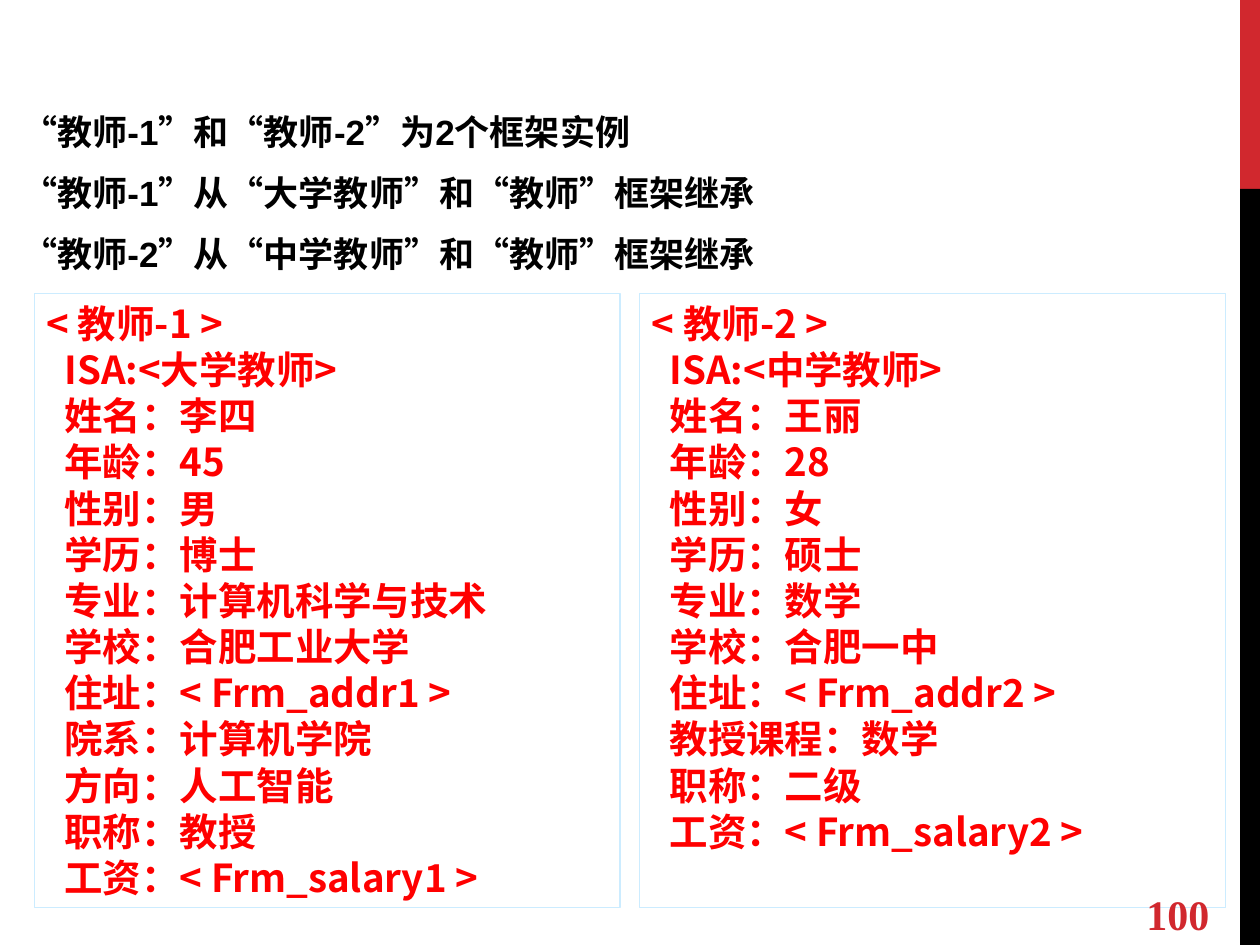
import itertools

import pptx
import pptx.dml.color
import pptx.enum.shapes
import pptx.enum.text
import pptx.oxml.ns
import pptx.util
from lxml import etree
from pptx.util import Cm, Pt

RED = pptx.dml.color.RGBColor(0xD1, 0x28, 0x2E)
BLACK = pptx.dml.color.RGBColor(0, 0, 0)
FRAME_TEXT = pptx.dml.color.RGBColor(0xFF, 0, 0)
FRAME_LINE = pptx.dml.color.RGBColor(0xCC, 0xEC, 0xFF)
CJK, LATIN, SERIF = "Noto Sans CJK SC", "Arial", "Times New Roman"
QUOTES = "“”"

INTRO = [
    "“教师-1”和“教师-2”为2个框架实例",
    "“教师-1”从“大学教师”和“教师”框架继承",
    "“教师-2”从“中学教师”和“教师”框架继承",
]
TEACHER_1 = [
    "ISA:<大学教师>", "姓名：李四", "年龄：45", "性别：男", "学历：博士",
    "专业：计算机科学与技术", "学校：合肥工业大学", "住址：< Frm_addr1 >",
    "院系：计算机学院", "方向：人工智能", "职称：教授", "工资：< Frm_salary1 >",
]
TEACHER_2 = [
    "ISA:<中学教师>", "姓名：王丽", "年龄：28", "性别：女", "学历：硕士",
    "专业：数学", "学校：合肥一中", "住址：< Frm_addr2 >",
    "教授课程：数学", "职称：二级", "工资：< Frm_salary2 >",
]


def write_line(frame, text, *, size, color, font, quote_font=None,
               line_height=None, before=0, after=0, indent=0):
    """Add a bold paragraph, with curly quotes in quote_font if given."""
    is_first = not frame.paragraphs[0].runs
    paragraph = frame.paragraphs[0] if is_first else frame.add_paragraph()
    paragraph.alignment = pptx.enum.text.PP_ALIGN.LEFT
    paragraph.space_before = Pt(0 if is_first else before)
    paragraph.space_after = Pt(after)
    if line_height:
        paragraph.line_spacing = Pt(line_height)
    if indent:
        properties = paragraph._p.get_or_add_pPr()
        properties.set("marL", str(Cm(indent)))
        properties.set("indent", "0")
    for quoted, chars in itertools.groupby(text, lambda char: char in QUOTES):
        run = paragraph.add_run()
        run.text = "".join(chars)
        run.font.size = Pt(size)
        run.font.bold = True
        run.font.color.rgb = color
        run.font.name = quote_font if quoted and quote_font else font
        east_asian = etree.SubElement(run.font._element, pptx.oxml.ns.qn("a:ea"))
        east_asian.set("typeface", CJK)


def add_box(slide, left, top, width, height, fill=None, line=None):
    box = slide.shapes.add_shape(pptx.enum.shapes.MSO_SHAPE.RECTANGLE,
                                 Cm(left), Cm(top), Cm(width), Cm(height))
    box.shadow.inherit = False
    if fill is None:
        box.fill.background()
    else:
        box.fill.solid()
        box.fill.fore_color.rgb = fill
    if line is None:
        box.line.fill.background()
    else:
        box.line.color.rgb = line
        box.line.width = Pt(0.75)
    return box


def add_side_bar(slide, left, top, width, height):
    red_height = height / 5
    add_box(slide, left, top, width, red_height, fill=RED)
    add_box(slide, left, top + red_height, width, height - red_height, fill=BLACK)


def add_text_area(slide, left, top, width, height):
    area = slide.shapes.add_textbox(Cm(left), Cm(top), Cm(width), Cm(height))
    area.text_frame.word_wrap = True
    return area.text_frame


def add_intro(slide, left, top, width, height):
    frame = add_text_area(slide, left, top, width, height)
    for sentence in INTRO:
        write_line(frame, sentence, size=20, color=BLACK, font=LATIN,
                   quote_font=SERIF, line_height=24, before=5, after=6)


def add_frame_panel(slide, left, top, width, height, name, slots):
    """Draw one frame instance: its name, then its indented slots."""
    frame = add_box(slide, left, top, width, height, line=FRAME_LINE).text_frame
    frame.word_wrap = True
    frame.vertical_anchor = pptx.enum.text.MSO_ANCHOR.TOP
    style = dict(size=22, color=FRAME_TEXT, font=CJK, line_height=26.4)
    write_line(frame, name, **style)
    for slot in slots:
        write_line(frame, slot, indent=0.36, **style)


def add_page_number(slide, left, top, width, height):
    frame = add_text_area(slide, left, top, width, height)
    frame.vertical_anchor = pptx.enum.text.MSO_ANCHOR.MIDDLE
    write_line(frame, "100", size=24, color=RED, font=SERIF)


def main():
    deck = pptx.Presentation()
    deck.slide_width, deck.slide_height = Cm(25.4), Cm(19.05)
    slide = deck.slides.add_slide(deck.slide_layouts[6])

    add_side_bar(slide, 25, 0, 0.4, 19.05)
    add_intro(slide, 0.2, 2.1, 24.97, 4.3)
    panels = [("< 教师-1 >", TEACHER_1), ("< 教师-2 >", TEACHER_2)]
    for column, (name, slots) in enumerate(panels):
        add_frame_panel(slide, 0.69 + column * 12.2, 5.92, 11.81, 12.37, name, slots)
    add_page_number(slide, 22.86, 17.9, 3.66, 1.02)

    deck.save("out.pptx")


if __name__ == "__main__":
    main()
